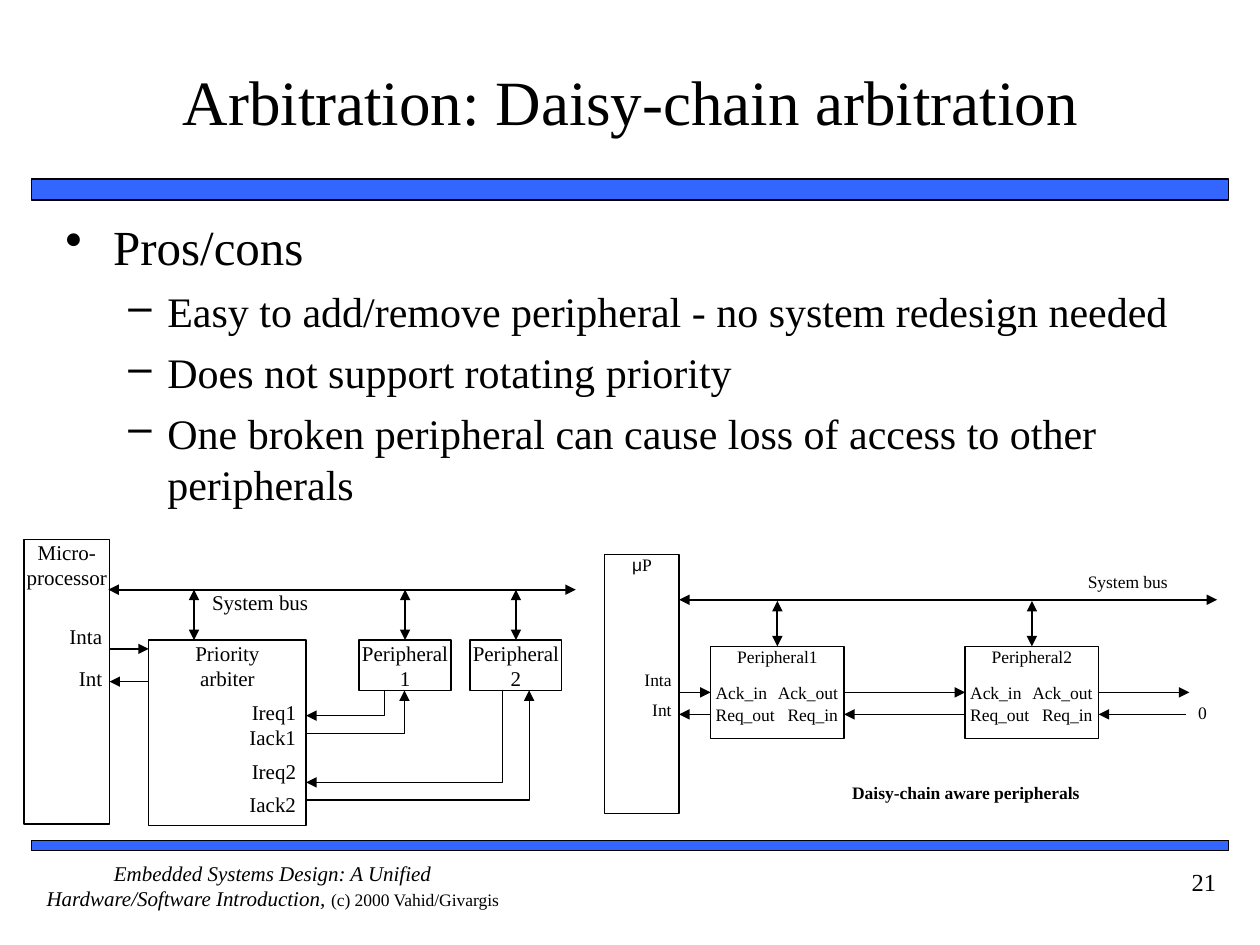
"""Build the slide on daisy-chain arbitration with its two bus diagrams."""
from dataclasses import dataclass

from lxml import etree
from pptx import Presentation
from pptx import util as u
from pptx.dml.color import RGBColor
from pptx.enum import shapes, text
from pptx.oxml.ns import qn


@dataclass(frozen=True)
class Theme:
    ink: RGBColor = RGBColor(0, 0, 0)
    paper: RGBColor = RGBColor(255, 255, 255)
    bar: RGBColor = RGBColor(0x33, 0x66, 0xFF)
    font: str = "Times New Roman"
    symbol_font: str = "Arial"
    title: int = 36
    bullet: int = 28
    sub_bullet: int = 24
    number: int = 14
    label: int = 12
    small: int = 10
    thin: float = 0.75
    edge: float = 1
    bus: float = 1.25


T = Theme()
LEFT, CENTER, RIGHT = text.PP_ALIGN.LEFT, text.PP_ALIGN.CENTER, text.PP_ALIGN.RIGHT
TOP_SIDE, LEFT_SIDE, RIGHT_SIDE = 0, 1, 3

prs = Presentation()
prs.slide_width, prs.slide_height = u.Inches(10), u.Inches(7.5)
COL, ROW = prs.slide_width / 100, prs.slide_height / 75
s = prs.slides.add_slide(prs.slide_layouts[6])


def write(content, x, y, w, h, size=T.label, align=CENTER, fill=None, weight=T.thin,
          bold=False, pad=(0, 0), anchor=text.MSO_ANCHOR.TOP):
    """Place text, as a box when filled; paragraphs may be lists of (text, font settings)."""
    box = [round(n) for n in (x * COL, y * ROW, w * COL, h * ROW)]
    if fill is None:
        sp = s.shapes.add_textbox(*box)
    else:
        sp = s.shapes.add_shape(shapes.MSO_SHAPE.RECTANGLE, *box)
        sp.shadow.inherit = False
        sp.fill.solid()
        sp.fill.fore_color.rgb = fill
        sp.line.color.rgb = T.ink
        sp.line.width = u.Pt(weight)
    tf = sp.text_frame
    tf.word_wrap, tf.vertical_anchor = True, anchor
    tf.margin_left = tf.margin_right = round(pad[0] * COL)
    tf.margin_top = tf.margin_bottom = round(pad[1] * ROW)
    for i, runs in enumerate([content] if isinstance(content, str) else content):
        p = tf.add_paragraph() if i else tf.paragraphs[0]
        p.alignment = align
        for words, look in [(runs, {})] if isinstance(runs, str) else runs:
            r = p.add_run()
            r.text = words
            r.font.name = look.get("font", T.font)
            r.font.size = u.Pt(look.get("size", size))
            r.font.bold, r.font.italic = bold, look.get("italic", False)
            r.font.color.rgb = T.ink
    return sp


def arrow(*points, weight=T.thin, both=False, begin=None, end=None):
    """Draw an arrow through points, joined to (shape, side) pairs where given."""
    pts = [(round(x * COL), round(y * ROW)) for x, y in points]
    if len(pts) == 2:
        sp = s.shapes.add_connector(shapes.MSO_CONNECTOR.STRAIGHT, *pts[0], *pts[1])
        if begin:
            sp.begin_connect(*begin)
        if end:
            sp.end_connect(*end)
    else:
        path = s.shapes.build_freeform(*pts[0])
        path.add_line_segments(pts[1:], close=False)
        sp = path.convert_to_shape()
        sp.fill.background()
    sp.line.color.rgb = T.ink
    sp.line.width = u.Pt(weight)
    props = sp._element.spPr
    for tag in ["a:headEnd"] * both + ["a:tailEnd"]:
        etree.SubElement(props.find(qn("a:ln")), qn(tag), type="triangle")
    if props.find(qn("a:effectLst")) is None:
        etree.SubElement(props, qn("a:effectLst"))


write("Arbitration: Daisy-chain arbitration", 4.2, 1.7, 91.7, 12.5, size=T.title,
      pad=(0, 0.5), anchor=text.MSO_ANCHOR.MIDDLE)
for y, h in [(14.2, 1.7), (66.7, 0.8)]:
    write([], 2.5, y, 95, h, fill=T.bar, weight=T.edge)
write([[("Embedded Systems Design: A Unified Hardware/Software Introduction, ", {"italic": True}),
        ("(c) 2000 Vahid/Givargis", {"size": T.small})]], 2.5, 68.3, 38.3, 5)
write("21", 87.5, 68.3, 10, 5, size=T.number, align=RIGHT, pad=(1, 0.5))

body = write([[("Pros/cons", {"size": T.bullet})],
              "Easy to add/remove peripheral - no system redesign needed",
              "Does not support rotating priority",
              "One broken peripheral can cause loss of access to other peripherals"],
             4.2, 16.7, 91.7, 49.2, size=T.sub_bullet, align=LEFT, pad=(1, 0.5))
for i, p in enumerate(body.text_frame.paragraphs):
    mark, margin, hang = ("–", 8.1, 3.1) if i else ("•", 3.8, 3.8)
    p.level = min(i, 1)
    if i:
        p.space_before = u.Pt(6)
    pPr = p._p.get_or_add_pPr()
    pPr.set("marL", str(round(margin * COL)))
    pPr.set("indent", str(round(-hang * COL)))
    etree.SubElement(pPr, qn("a:buChar"), char=mark)

# Daisy_less = None
cpu = write("Micro-processor", 1.9, 42.8, 6.8, 22.6, fill=T.paper)
write(["Priority", "arbiter"], 11.8, 50.8, 12.5, 14.7, fill=T.paper)
arrow((8.6, 46.8), (45.7, 46.8), weight=T.bus, both=True)
arrow((15.4, 46.8), (15.4, 50.8), weight=T.bus, both=True)
write("System bus", 14.9, 46.8, 11.5, 2)
for name, y in [("Inta", 49.5), ("Int", 52.8)]:
    write(name, 4.9, y, 3.2, 2, align=RIGHT)
arrow((8.7, 51.5), (11.8, 51.5))
arrow((11.8, 54.1), (8.7, 54.1), end=(cpu, RIGHT_SIDE))
for name, x, req_x, ack_x, req_y, ack_y in [("1", 28.5, 30.5, 32.1, 56.8, 58.2),
                                            ("2", 37.3, 39.9, 42, 62.1, 63.5)]:
    sp = write("Peripheral" + name, x, 50.8, 7.3, 4, fill=T.paper)
    arrow((x + 3.65, 46.8), (x + 3.65, 50.8), weight=T.bus, both=True, end=(sp, TOP_SIDE))
    arrow((req_x, 54.8), (req_x, req_y), (24.3, req_y))
    arrow((24.3, ack_y), (ack_x, ack_y), (ack_x, 54.8))
for name, y in [("Ireq1", 55.5), ("Iack1", 57.5), ("Ireq2", 60.2), ("Iack2", 62.8)]:
    write(name, 18.8, y, 4.7, 2, align=RIGHT)

write([[("μ", {"font": T.symbol_font}), ("P", {})]], 48, 44, 5.9, 20.6,
      size=T.small, fill=T.paper)
arrow((53.9, 47.6), (96.6, 47.6), weight=T.bus, both=True)
write("System bus", 84.4, 45.3, 10.2, 1.8, size=T.small)
for name, y in [("Inta", 53.1), ("Int", 55.5)]:
    write(name, 50.3, y, 3, 1.8, size=T.small, align=RIGHT)
source, start = None, 53.9
for name, x in [("1", 56.4), ("2", 76.6)]:
    sp = write("Peripheral" + name, x, 51.3, 10.6, 7.3, size=T.small, fill=T.paper)
    for kind, y, out in [("Ack", 54.1, RIGHT), ("Req", 55.9, LEFT)]:
        for side, dx, w in [(LEFT, 0.4, 4.9), (RIGHT, 5, 5.1)]:
            write(kind + ("_out" if side == out else "_in"), x + dx, y, w, 1.8,
                  size=T.small, align=side)
    arrow((x + 5.3, 47.7), (x + 5.3, 51.3), weight=T.bus, both=True, end=(sp, TOP_SIDE))
    arrow((start, 54.95), (x, 54.95), begin=source, end=(sp, LEFT_SIDE))
    arrow((x, 56.7), (start, 56.7))
    source, start = (sp, RIGHT_SIDE), x + 10.6
arrow((start, 54.95), (94.4, 54.95), begin=source)
arrow((94.1, 56.7), (start, 56.7))
write("0", 95.1, 55.7, 1.3, 1.8, size=T.small, align=LEFT)
write("Daisy-chain aware peripherals", 63.1, 62.1, 27.1, 2.4, size=T.small, bold=True)

prs.save("out.pptx")
